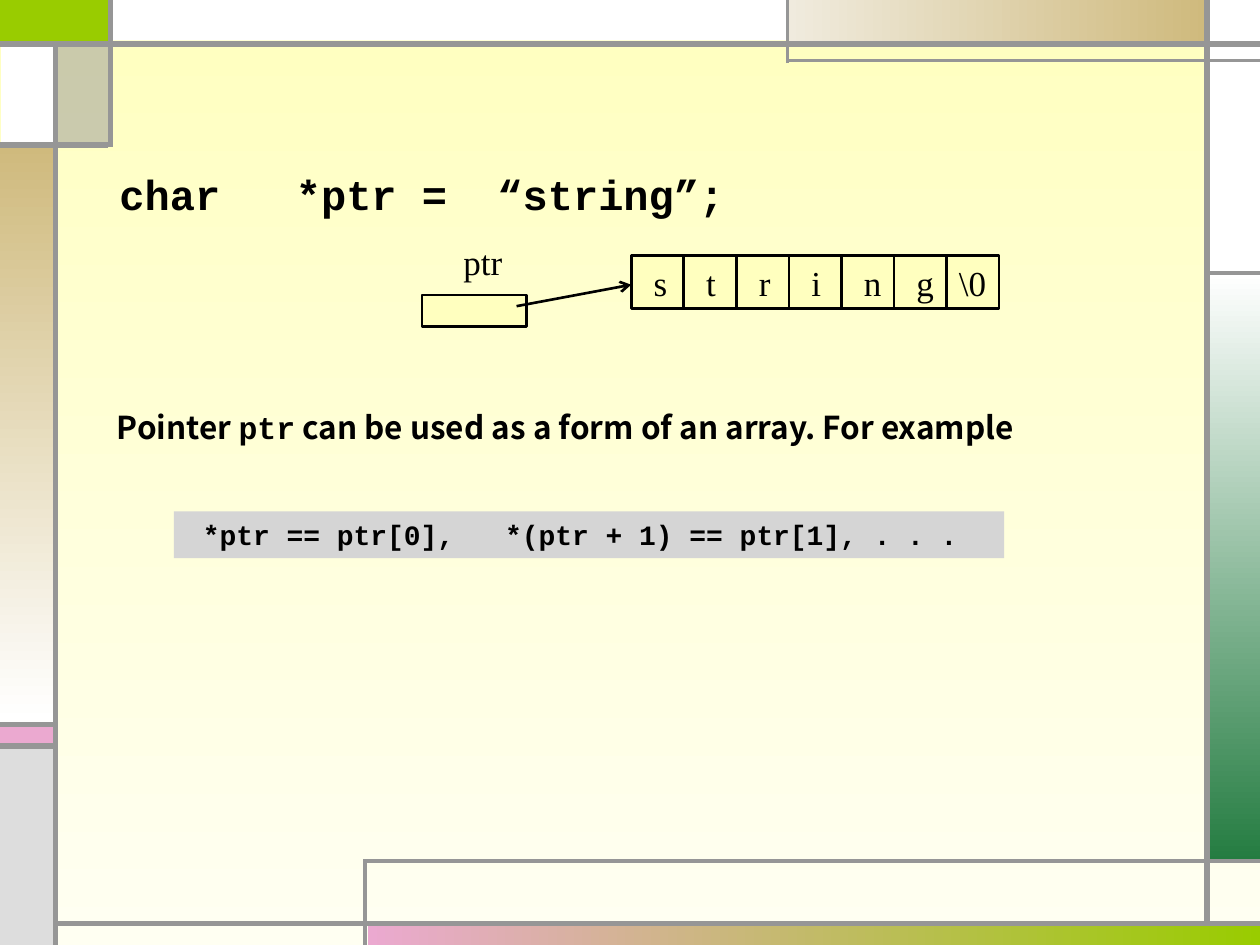
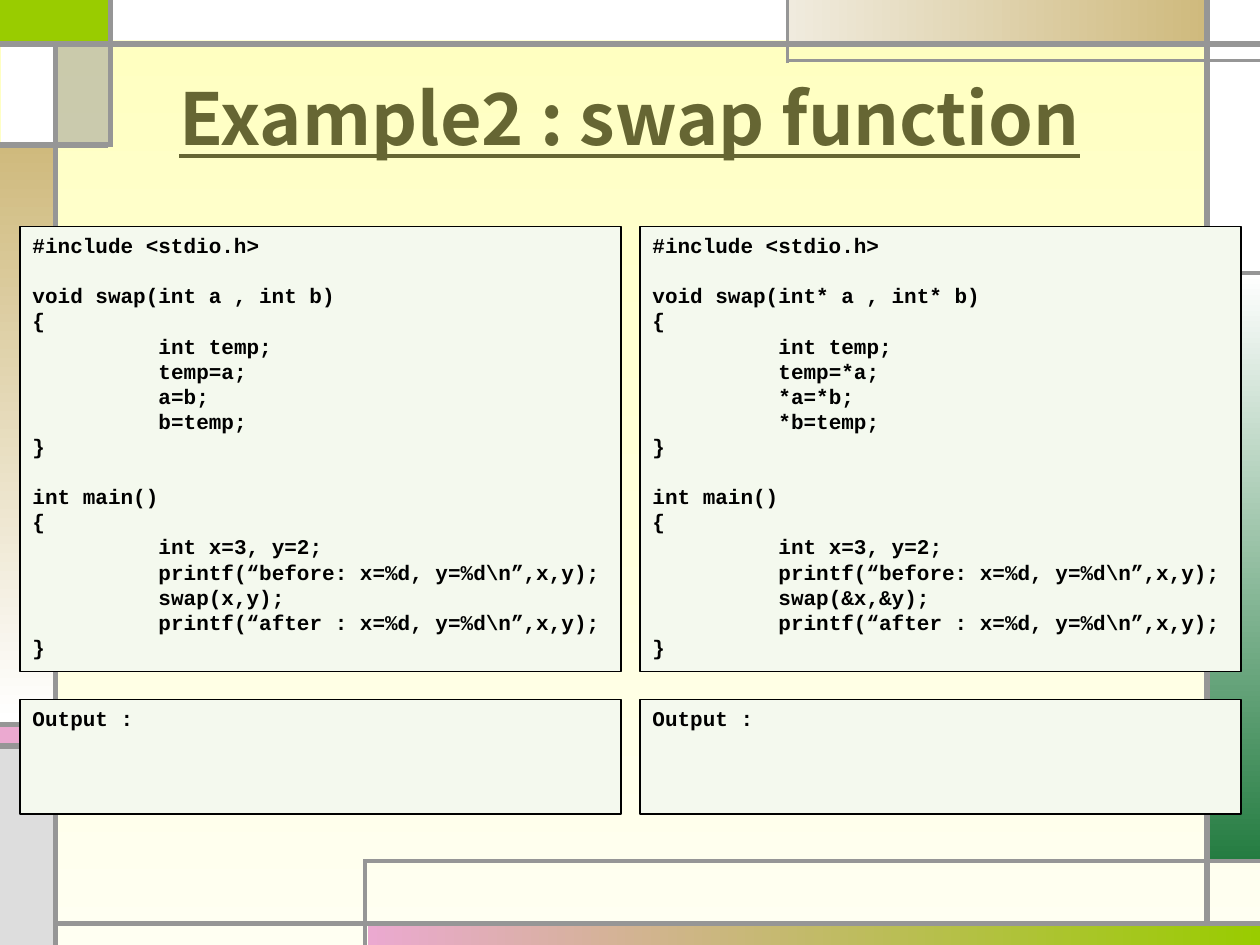
from lxml import etree
from pptx import Presentation
from pptx.dml.color import RGBColor
from pptx.enum.shapes import MSO_CONNECTOR as Conn, MSO_SHAPE as Shape
from pptx.enum.text import MSO_ANCHOR as Anchor, PP_ALIGN as Align
from pptx.oxml.ns import qn
from pptx.util import Inches, Pt

# Colours
BLACK = RGBColor(0x00, 0x00, 0x00)
WHITE = RGBColor(0xFF, 0xFF, 0xFF)
CREAM = RGBColor(0xFF, 0xFF, 0xBF)
IVORY = RGBColor(0xFF, 0xFF, 0xF2)
LIME = RGBColor(0x99, 0xCC, 0x00)
PINK = RGBColor(0xEB, 0xA9, 0xD0)
GREEN = RGBColor(0x24, 0x7C, 0x41)
SAND = RGBColor(0xCF, 0xBA, 0x7D)
PALE_SAND = RGBColor(0xF0, 0xEB, 0xDE)
GRAY = RGBColor(0x96, 0x96, 0x96)
LIGHT_GRAY = RGBColor(0xDD, 0xDD, 0xDD)
CODE_GRAY = RGBColor(0xD5, 0xD5, 0xD5)
MINT = RGBColor(0xF4, 0xF9, 0xEE)
OLIVE = RGBColor(0x66, 0x66, 0x33)

# Fonts
MONO = "Courier New"
SANS = "Noto Sans CJK KR"
SERIF = "Times New Roman"

DOWN, ACROSS = 270, 0  # gradient angles, counter-clockwise


def set_gradient(fill, start, end, angle):
    fill.gradient()
    fill.gradient_angle = angle
    for stop, color in zip(fill.gradient_stops, (start, end)):
        stop.color.rgb = color


def add_rect(shapes, box, fill, line_width=None):
    """Rectangle; fill is a colour or a (start, end, angle) gradient."""
    sp = shapes.add_shape(Shape.RECTANGLE, *map(Inches, box))
    sp.shadow.inherit = False
    if isinstance(fill, RGBColor):
        sp.fill.solid()
        sp.fill.fore_color.rgb = fill
    else:
        set_gradient(sp.fill, *fill)
    if line_width:
        sp.line.color.rgb = BLACK
        sp.line.width = Pt(line_width)
    else:
        sp.line.fill.background()
    return sp


def add_line(shapes, start, end, color, width, arrow=False):
    c = shapes.add_connector(Conn.STRAIGHT, *map(Inches, start + end))
    c.line.color.rgb = color
    c.line.width = Pt(width)
    if arrow:
        ln = c.line._get_or_add_ln()
        etree.SubElement(ln, qn("a:tailEnd"), type="arrow")
    etree.SubElement(c._element.spPr, qn("a:effectLst"))
    return c


def add_runs(p, runs, size, color=BLACK, bold=False, underline=False):
    for text, font in runs:
        r = p.add_run()
        r.text = text
        r.font.name = font
        r.font.size = Pt(size)
        r.font.color.rgb = color
        r.font.bold = bold
        r.font.underline = underline


def add_text(shapes, box, runs, size, align=Align.LEFT, **style):
    tb = shapes.add_textbox(*map(Inches, box))
    tf = tb.text_frame
    tf.word_wrap = True
    p = tf.paragraphs[0]
    p.alignment = align
    add_runs(p, runs, size, **style)
    return tf


def add_tab_stops(p, *stops):
    tabs = etree.SubElement(p._p.get_or_add_pPr(), qn("a:tabLst"))
    for stop in stops:
        etree.SubElement(tabs, qn("a:tab"), pos=str(Inches(stop)), algn="l")


def add_master_frame(master, slide):
    """Draw the coloured bands and grid lines, then move them to the master."""
    set_gradient(master.background.fill, CREAM, IVORY, DOWN)
    group = slide.shapes.add_group_shape()
    shapes = group.shapes

    # Bands
    bands = [
        ((0, 0, 0.87, 0.34), LIME),
        ((2.92, 7.33, 7.08, 0.17), (PINK, LIME, ACROSS)),
        ((9.58, 2.17, 0.42, 4.67), (WHITE, GREEN, DOWN)),
        ((0, 5.75, 0.42, 0.17), PINK),
        ((0, 5.93, 0.42, 1.57), LIGHT_GRAY),
        ((9.58, 0, 0.42, 2.17), WHITE),
        ((6.25, 0, 3.33, 0.33), (PALE_SAND, SAND, ACROSS)),
        ((0, 1.15, 0.42, 4.58), (SAND, WHITE, DOWN)),
        ((0.01, 0.33, 0.42, 0.82), WHITE),
        ((0.86, 0, 5.39, 0.32), WHITE),
    ]
    for box, fill in bands:
        add_rect(shapes, box, fill)
    corner = add_rect(shapes, (0.46, 0.33, 0.42, 0.82), GRAY)
    rgb = corner._element.spPr.find(".//" + qn("a:srgbClr"))
    etree.SubElement(rgb, qn("a:alpha"), val="50000")

    # Grid lines
    thick = [
        ((0.44, 7.5), (0.44, 0.33)),
        ((0.44, 7.33), (10.01, 7.33)),
        ((9.58, 7.33), (9.58, 0)),
        ((0, 0.35), (10, 0.35)),
        ((0.88, 0), (0.88, 1.17)),
        ((0.86, 1.15), (0, 1.15)),
        ((0.46, 5.75), (0, 5.75)),
        ((0.46, 5.92), (0, 5.92)),
    ]
    thin = [
        ((10, 0.48), (6.25, 0.48)),
        ((6.25, 0.5), (6.25, 0)),
        ((9.58, 2.17), (10, 2.17)),
        ((2.9, 7.5), (2.9, 6.82)),
        ((2.89, 6.83), (10, 6.83)),
    ]
    for lines, width in ((thick, 3), (thin, 2.25)):
        for start, end in lines:
            add_line(shapes, start, end, GRAY, width)

    # Move to the master, with ids that are free there
    for i, props in enumerate(group._element.iter(qn("p:cNvPr")), 100):
        props.set("id", str(i))
    master.shapes._spTree.append(group._element)


def add_pointer_diagram(slide, left, top):
    """A pointer box with an arrow to the cells of a string."""
    shapes = slide.shapes.add_group_shape().shapes
    letters = ["s", "t", "r", "i", "n", "g", "\\0"]
    cells_left, cells_top = left + 1.66, top + 0.17
    width, height = 2.92, 0.42
    pitch = width / len(letters)

    # String cells; a single letter is indented, the terminator fills its cell
    add_rect(shapes, (cells_left, cells_top, width, height), CREAM, 1.5)
    for i, letter in enumerate(letters):
        x = cells_left + i * pitch
        if i:
            add_line(shapes, (x, cells_top), (x, cells_top + height), BLACK, 1.5)
        indent = 0.08 if len(letter) == 1 else 0
        add_text(shapes, (x + indent, cells_top, pitch - indent, 0.43),
                 [(letter, SERIF)], 20)

    # Pointer
    add_rect(shapes, (left, top + 0.48, 0.83, 0.25), CREAM, 1.5)
    add_text(shapes, (left + 0.23, top, 0.51, 0.43), [("ptr", SERIF)],
             20).word_wrap = False
    add_line(shapes, (left + 0.75, top + 0.57), (cells_left, top + 0.4), BLACK, 1.5,
             arrow=True)


def add_string_slide(slide):
    # Declaration
    tf = add_text(slide.shapes, (0.85, 1.29, 5.33, 0.51),
                  [("char\t*ptr =\t“string”;", MONO)], 24, bold=True)
    add_tab_stops(tf.paragraphs[0], 1.4, 3)

    add_pointer_diagram(slide, 3.35, 1.86)

    # Array notation
    bar = add_rect(slide.shapes, (1.38, 4.06, 6.59, 0.37), CODE_GRAY)
    tf = bar.text_frame
    tf.word_wrap = True
    tf.vertical_anchor = Anchor.TOP
    tf.margin_left = Inches(0.23)
    p = tf.paragraphs[0]
    p.alignment = Align.LEFT
    add_tab_stops(p, 2.4)
    add_runs(p, [("*ptr == ptr[0],\t*(ptr + 1) == ptr[1], . . .", MONO)], 16, bold=True)

    # Explanation
    tf = add_text(slide.shapes, (0.83, 3.11, 8.11, 0.48),
                  [("Pointer ", SANS), ("ptr", MONO),
                   (" can be used as a form of an array. For example", SANS)],
                  18, bold=True)
    tf.margin_top, tf.margin_bottom = Inches(0.13), 0


def add_code_panel(slide, box, blocks):
    """Framed listing; blocks of lines are set one line apart."""
    tf = add_rect(slide.shapes, box, MINT, 0.75).text_frame
    tf.word_wrap = True
    tf.vertical_anchor = Anchor.TOP
    for b, block in enumerate(blocks):
        for i, line in enumerate(block):
            p = tf.add_paragraph() if b or i else tf.paragraphs[0]
            p.alignment = Align.LEFT
            if b and not i:
                p.space_before = Pt(14)
            add_tab_stops(p, 1)
            add_runs(p, [(line, MONO)], 12, bold=True)


def swap_program(star, amp):
    """Listing of the swap program, by value or by pointer."""
    return [
        ["#include <stdio.h>"],
        [f"void swap(int{star} a , int{star} b)", "{", "\tint temp;",
         f"\ttemp={star}a;", f"\t{star}a={star}b;", f"\t{star}b=temp;", "}"],
        ["int main()", "{", "\tint x=3, y=2;",
         "\tprintf(“before: x=%d, y=%d\\n”,x,y);",
         f"\tswap({amp}x,{amp}y);",
         "\tprintf(“after : x=%d, y=%d\\n”,x,y);", "}"],
    ]


def add_swap_slide(slide):
    # Title
    tf = add_text(slide.shapes, (0.5, 0.3, 9, 1.25),
                  [("Example2 : swap function", SANS)], 41, Align.CENTER,
                  color=OLIVE, bold=True, underline=True)
    tf.vertical_anchor = Anchor.MIDDLE

    # Program and output, by value on the left and by pointer on the right
    for left, star, amp in ((0.16, "", ""), (5.08, "*", "&")):
        add_code_panel(slide, (left, 1.8, 4.77, 3.53), swap_program(star, amp))
        add_code_panel(slide, (left, 5.55, 4.77, 0.91), [["Output :"]])


prs = Presentation()
prs.slide_width, prs.slide_height = Inches(10), Inches(7.5)
blank = prs.slide_layouts[6]
string_slide = prs.slides.add_slide(blank)
swap_slide = prs.slides.add_slide(blank)
add_master_frame(prs.slide_master, string_slide)
add_string_slide(string_slide)
add_swap_slide(swap_slide)
prs.save("out.pptx")
